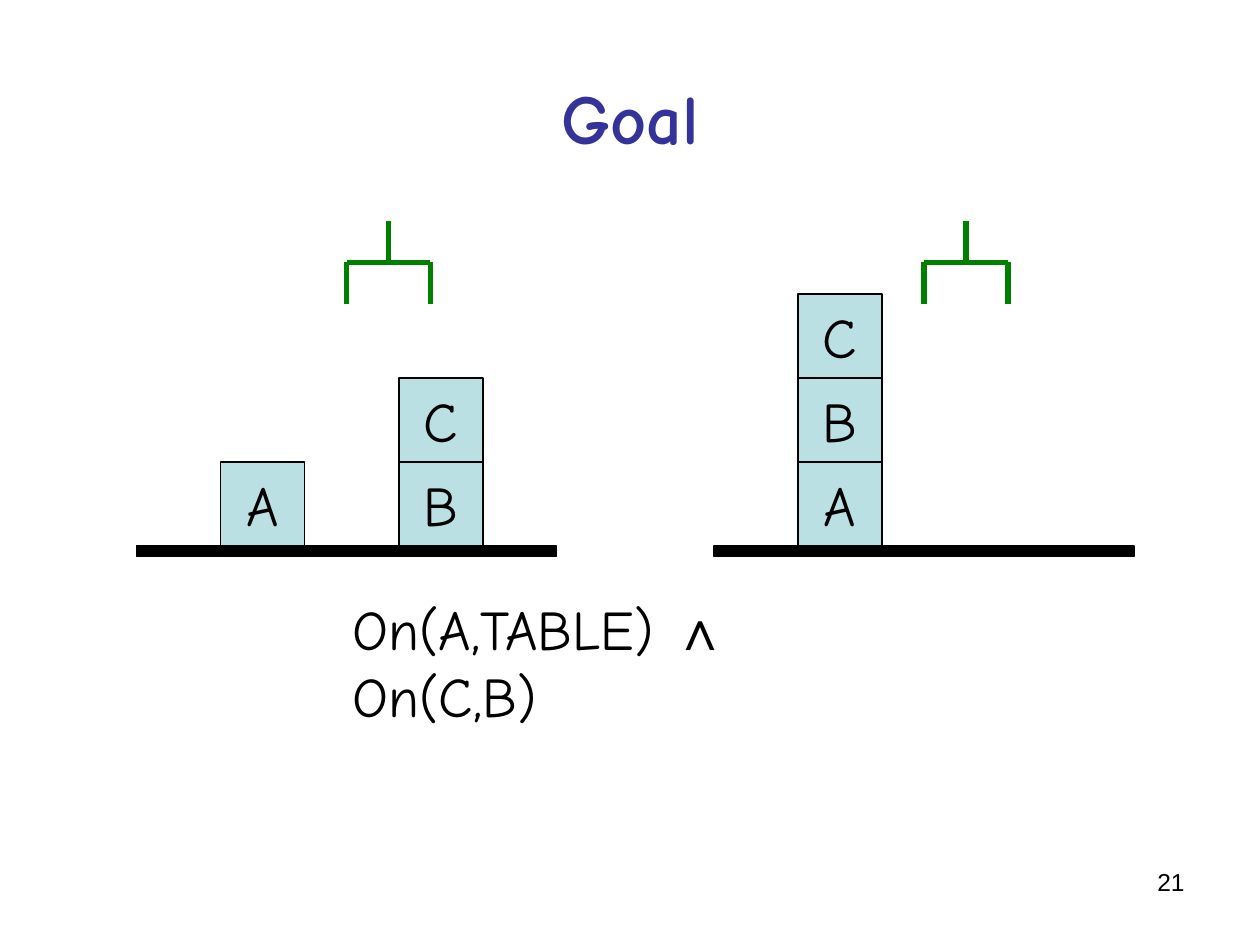
import pptx
import pptx.util
import pptx.dml.color
import pptx.enum.shapes
import pptx.enum.text
import pptx.oxml
import pptx.oxml.ns

PX = 7620
BLOCK = 80
TABLE_TOP = 520
HAND_TOP = 210
ALIGN = pptx.enum.text.PP_ALIGN
ANCHOR = pptx.enum.text.MSO_ANCHOR


def color(value):
    return pptx.dml.color.RGBColor.from_string(value)


class BlocksSlide:
    """Draws blocks-world elements on one slide in a shared style."""

    font = "Comic Neue"
    black, title_blue, block_blue, hand_green = "000000", "333399", "BBE0E3", "008000"

    def __init__(self, presentation):
        self.slide = presentation.slides.add_slide(presentation.slide_layouts[6])

    def set_text(self, shape, runs, align, **frame_format):
        frame = shape.text_frame
        for name, value in frame_format.items():
            setattr(frame, name, value)
        paragraph = frame.paragraphs[0]
        paragraph.alignment = align
        for text, font_format in runs:
            run = paragraph.add_run()
            run.text = text
            values = {"name": self.font, "size": pptx.util.Pt(32), "bold": False, **font_format}
            ink = values.pop("ink", self.black)
            for name, value in values.items():
                setattr(run.font, name, value)
            run.font.color.rgb = color(ink)

    def text(self, left, top, width, height, runs, align=ALIGN.LEFT, anchor=ANCHOR.TOP):
        box = self.slide.shapes.add_textbox(*(PX * n for n in (left, top, width, height)))
        self.set_text(box, runs, align, word_wrap=True, vertical_anchor=anchor)

    def rectangle(self, left, top, width, height, fill):
        shape = self.slide.shapes.add_shape(
            pptx.enum.shapes.MSO_SHAPE.RECTANGLE, *(PX * n for n in (left, top, width, height)))
        shape.shadow.inherit = False
        shape.fill.solid()
        shape.fill.fore_color.rgb = color(fill)
        shape.line.color.rgb = color(self.black)
        shape.line.width = pptx.util.Pt(0.75)
        return shape

    def table(self, left):
        self.rectangle(left, TABLE_TOP, 400, 10, self.black)

    def stack(self, left, labels):
        for level, label in enumerate(labels, 1):
            block = self.rectangle(left, TABLE_TOP - level * BLOCK, BLOCK, BLOCK, self.block_blue)
            self.set_text(block, [(label, {})], ALIGN.CENTER,
                          word_wrap=False, vertical_anchor=ANCHOR.MIDDLE)

    def line(self, *ends):
        connector = self.slide.shapes.add_connector(
            pptx.enum.shapes.MSO_CONNECTOR.STRAIGHT, *(PX * n for n in ends))
        connector.line.color.rgb = color(self.hand_green)
        connector.line.width = pptx.util.Pt(3)
        namespace = pptx.oxml.ns.nsdecls("a")
        connector._element.spPr.append(pptx.oxml.parse_xml(f"<a:effectLst {namespace}/>"))

    def hand(self, left):
        half = BLOCK // 2
        right, palm = left + BLOCK, HAND_TOP + half
        self.line(left, palm, right, palm)
        self.line(left, palm, left, palm + half)
        self.line(left + half, HAND_TOP, left + half, palm)
        self.line(right, palm, right, palm + half)


def main():
    presentation = pptx.Presentation()
    presentation.slide_width = 1200 * PX
    presentation.slide_height = 900 * PX
    page = BlocksSlide(presentation)

    page.text(860, 820, 280, 62, [("21", {"name": "Arial", "size": pptx.util.Pt(14)})], ALIGN.RIGHT)
    title_format = {"size": pptx.util.Pt(40), "bold": True, "ink": page.title_blue}
    page.text(60, 36, 1080, 150, [("Goal", title_format)], ALIGN.CENTER, ANCHOR.MIDDLE)

    scenes = [(130, {210: "A", 380: "BC"}), (680, {760: "ABC"})]
    for table_left, stacks in scenes:
        page.table(table_left)
        for left, labels in stacks.items():
            page.stack(left, labels)
        page.hand(table_left + 200)

    page.text(324, 560, 544, 77, [
        ("On(A,TABLE) ", {}),
        ("∧", {"name": "Arial", "bold": True}),
        (" On(C,B)", {}),
    ])
    presentation.save("out.pptx")


if __name__ == "__main__":
    main()
